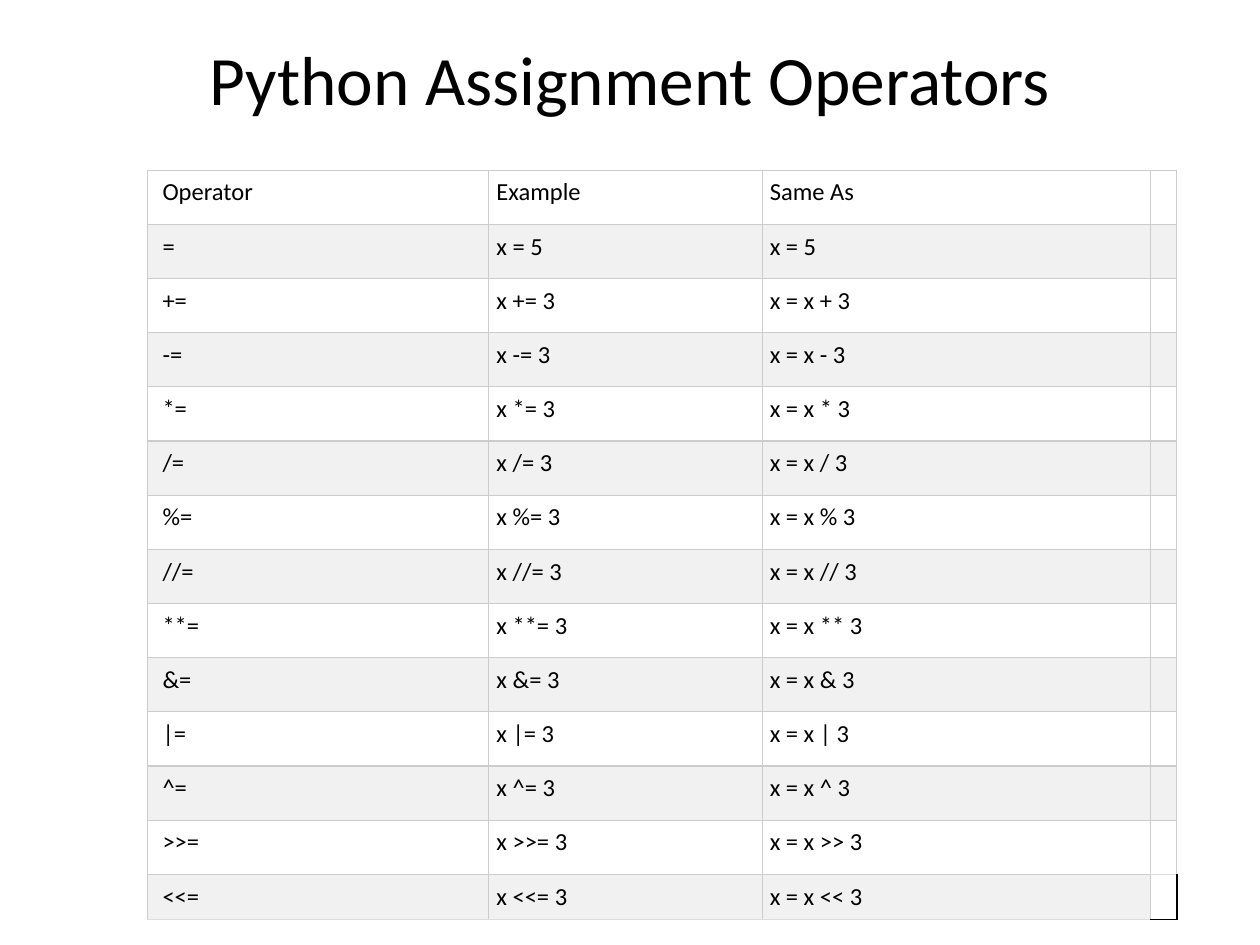
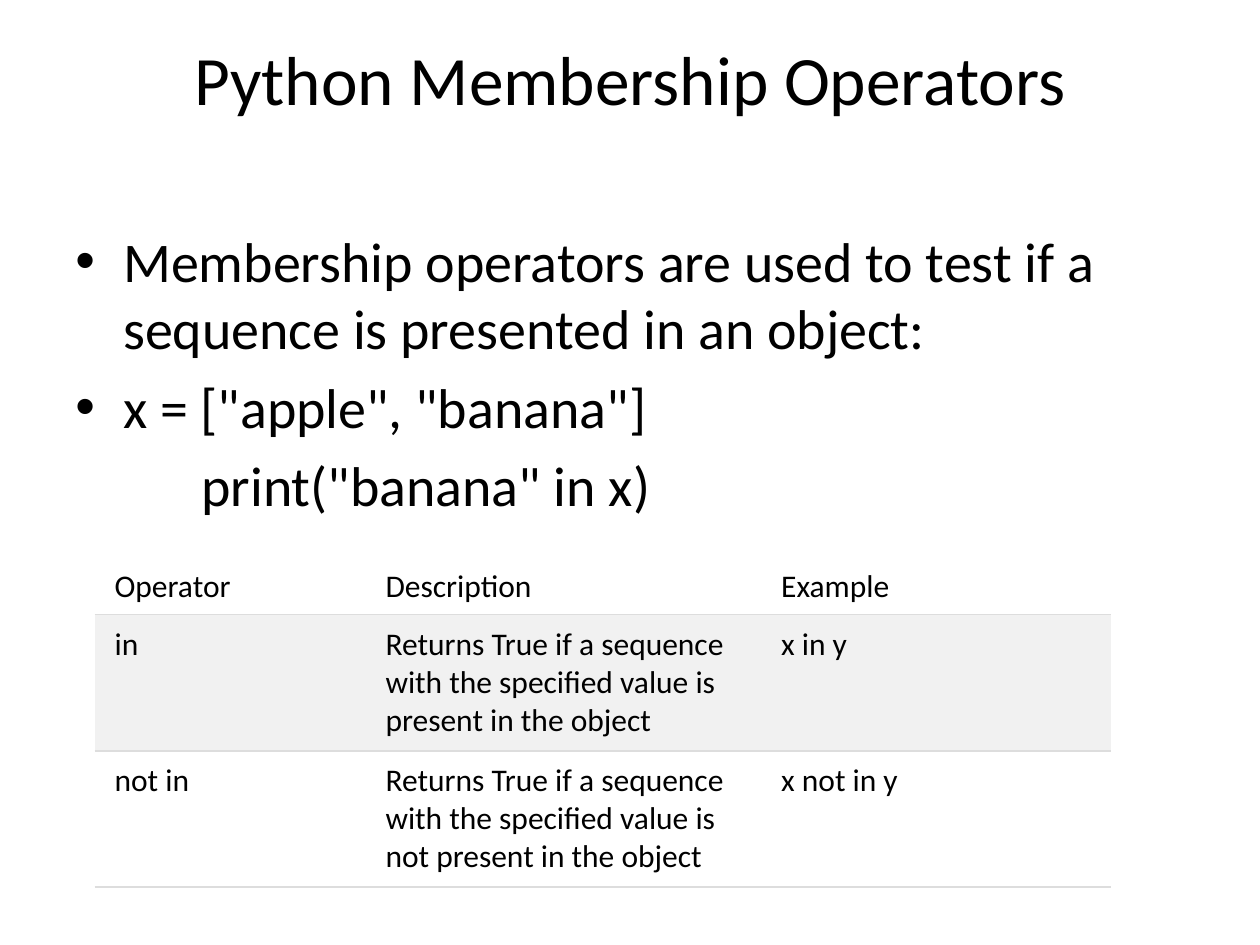
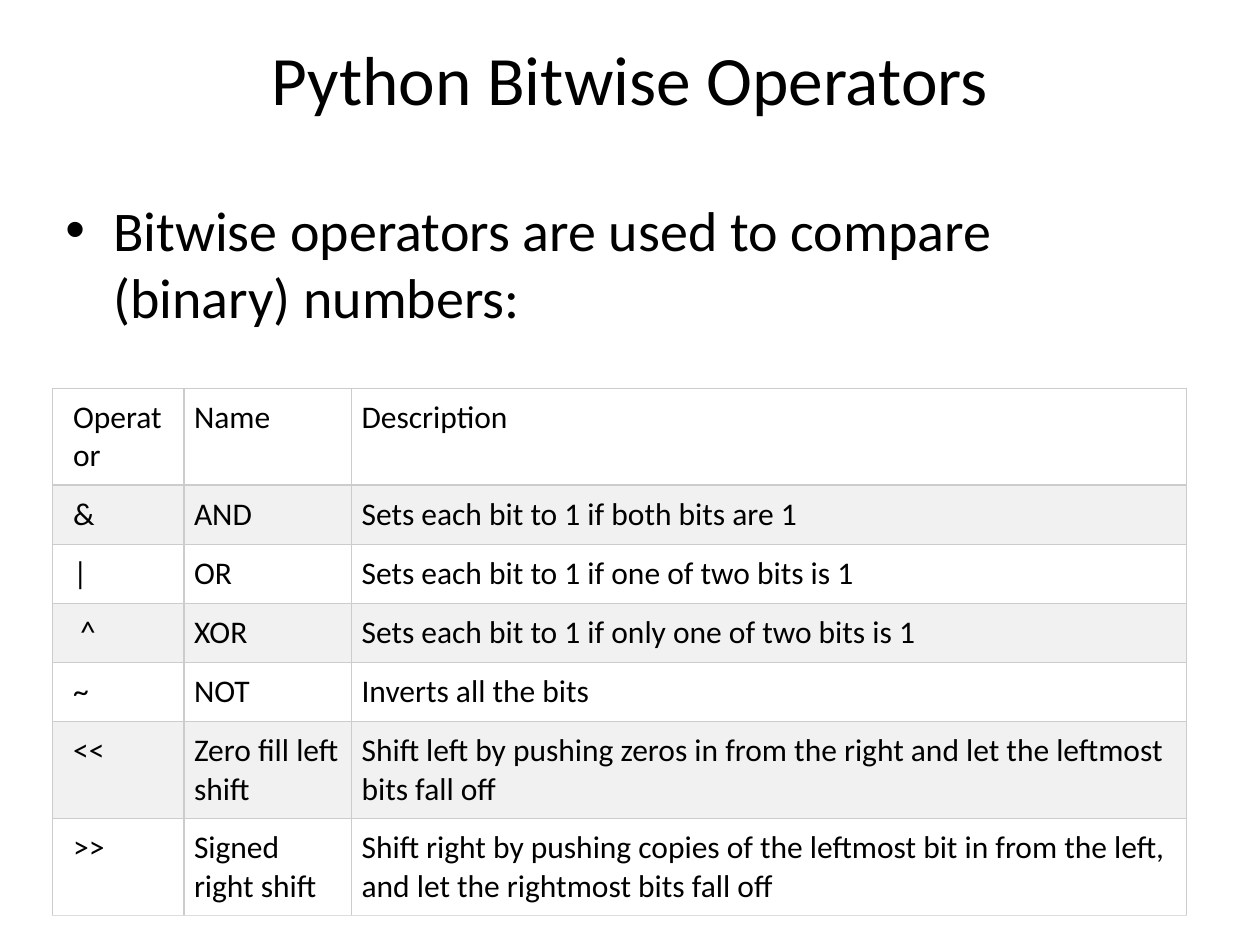
from dataclasses import dataclass

from lxml import etree
from pptx import Presentation
from pptx.dml.color import RGBColor
from pptx.enum.text import MSO_ANCHOR, PP_ALIGN
from pptx.oxml.ns import qn
from pptx.util import Inches, Pt

TOP = MSO_ANCHOR.TOP
LEFT, CENTER = PP_ALIGN.LEFT, PP_ALIGN.CENTER
NO_STYLE = "{2D5ABB26-0587-4C30-8999-92F81FD0307C}"


@dataclass(frozen=True)
class Theme:
    font: str = "Calibri"
    text: str = "000000"
    fills: tuple = ("FFFFFF", "F1F1F1")
    grid: str = "CCCCCC"
    rule: str = "DDDDDD"
    title_size: float = 39.6
    body_size: float = 32
    table_size: float = 18
    dense_size: float = 14
    line_width: float = 0.75


THEME = Theme()


def add_text(paragraph, text, size, align=LEFT):
    paragraph.alignment = align
    run = paragraph.add_run()
    run.text = text
    run.font.name = THEME.font
    run.font.size = Pt(size)
    run.font.color.rgb = RGBColor.from_string(THEME.text)


def set_border(cell, side, color, width=THEME.line_width):
    """Draw one cell edge; side is L, R, T or B."""
    properties = cell._tc.get_or_add_tcPr()
    for old_line in properties.findall(qn("a:ln" + side)):
        properties.remove(old_line)
    line = etree.Element(qn("a:ln" + side), w=str(Pt(width)))
    if color:
        fill = etree.SubElement(line, qn("a:solidFill"))
        etree.SubElement(fill, qn("a:srgbClr"), val=color)
    else:
        etree.SubElement(line, qn("a:noFill"))
    # The schema wants the edges in the order L, R, T, B, ahead of the fill
    earlier = [qn("a:ln" + name) for name in "LRTB"["LRTB".index("L"):"LRTB".index(side)]]
    properties.insert(sum(child.tag in earlier for child in properties), line)


# Slide content
assignments = [("Operator", "Example", "Same As", ""), ("=", "x = 5", "x = 5", "")]
for symbol in ("+", "-", "*", "/", "%", "//", "**", "&", "|", "^", ">>", "<<"):
    assignments.append((f"{symbol}=", f"x {symbol}= 3", f"x = x {symbol} 3", ""))

memberships = [
    ("Operator", "Description", "Example"),
    ("in", "Returns True if a sequence with the specified value is present in the object", "x in y"),
    ("not in", "Returns True if a sequence with the specified value is not present in the object",
     "x not in y"),
]

bitwise = [
    ("Operator", "Name", "Description"),
    ("&", "AND", "Sets each bit to 1 if both bits are 1"),
    ("|", "OR", "Sets each bit to 1 if one of two bits is 1"),
    ("\u00a0^", "XOR", "Sets each bit to 1 if only one of two bits is 1"),
    ("~", "NOT", "Inverts all the bits"),
    ("<<", "Zero fill left shift",
     "Shift left by pushing zeros in from the right and let the leftmost bits fall off"),
    (">>", "Signed right shift",
     "Shift right by pushing copies of the leftmost bit in from the left, "
     "and let the rightmost bits fall off"),
]

# Body paragraphs are (text, bulleted); boxes are left, top, width, height
pages = [
    dict(title="Python Assignment Operators", body=[], body_box=None,
         table=assignments, origin=(1.17, 1.35), columns=(2.71, 2.17, 3.08, 0.21),
         rows=[0.43] * 13 + [0.36], size=THEME.dense_size, inset=0.06, grid=True),
    dict(title="Python Membership Operators",
         body=[("Membership operators are used to test if a sequence is presented in an object:", True),
               ('x = ["apple", "banana"]', True),
               ('print("banana" in x)', False)],
         body_box=(0.5, 1.75, 9, 4.95),
         table=memberships, origin=(0.75, 4.42), columns=(2.23, 3.14, 2.7),
         rows=[0.46, 1.08, 1.08], size=THEME.table_size, inset=0.08, grid=False),
    dict(title="Python Bitwise Operators",
         body=[("Bitwise operators are used to compare (binary) numbers:", True)],
         body_box=(0.42, 1.5, 9, 1.25),
         table=bitwise, origin=(0.42, 3.08), columns=(1.04, 1.33, 6.63),
         rows=[0.77] + [0.47] * 4 + [0.77] * 2, size=THEME.table_size, inset=0.08, grid=True),
]

presentation = Presentation()
presentation.slide_width = Inches(10)
presentation.slide_height = Inches(7.5)
blank = presentation.slide_layouts[6]

for page in pages:
    slide = presentation.slides.add_slide(blank)

    # Title
    title = slide.shapes.add_textbox(Inches(0.5), Inches(0.29), Inches(9), Inches(1.25)).text_frame
    title.word_wrap = True
    title.vertical_anchor = TOP
    title.margin_top = 0
    add_text(title.paragraphs[0], page["title"], THEME.title_size, CENTER)

    # Body text
    if page["body"]:
        box = [Inches(length) for length in page["body_box"]]
        body = slide.shapes.add_textbox(*box).text_frame
        body.word_wrap = True
        for index, (text, bulleted) in enumerate(page["body"]):
            paragraph = body.add_paragraph() if index else body.paragraphs[0]
            add_text(paragraph, text, THEME.body_size)
            paragraph.space_before = Pt(0.2 * THEME.body_size)
            properties = paragraph._p.get_or_add_pPr()
            if bulleted:
                properties.set("marL", str(Inches(0.38)))
                properties.set("indent", str(Inches(-0.38)))
                etree.SubElement(properties, qn("a:buFont"), typeface="Arial")
                etree.SubElement(properties, qn("a:buChar"), char="\u2022")
            else:
                properties.set("marL", str(Inches(1)))

    # Table
    left, top = page["origin"]
    frame = slide.shapes.add_table(
        len(page["rows"]), len(page["columns"]), Inches(left), Inches(top),
        Inches(sum(page["columns"])), Inches(sum(page["rows"])))
    table = frame.table
    table._tbl.tblPr.find(qn("a:tableStyleId")).text = NO_STYLE
    for column, width in zip(table.columns, page["columns"]):
        column.width = Inches(width)
    for row, height in zip(table.rows, page["rows"]):
        row.height = Inches(height)

    last_row = len(page["rows"]) - 1
    for row_index, texts in enumerate(page["table"]):
        for column_index, text in enumerate(texts):
            cell = table.cell(row_index, column_index)
            inset = Inches(page["inset"])
            cell.margin_left = inset if column_index else 2 * inset
            cell.margin_right = cell.margin_top = cell.margin_bottom = inset
            cell.fill.solid()
            cell.fill.fore_color.rgb = RGBColor.from_string(THEME.fills[row_index % 2])
            paragraph = cell.text_frame.paragraphs[0]
            if text:
                add_text(paragraph, text, page["size"])
            else:
                # Keeps an empty cell from stretching its row
                paragraph._p.get_or_add_endParaRPr().set("sz", str(page["size"] * 100))
            across = THEME.grid if page["grid"] else THEME.rule
            upright = THEME.grid if page["grid"] else None
            set_border(cell, "L", upright)
            set_border(cell, "R", upright)
            set_border(cell, "T", across if row_index or page["grid"] else None)
            set_border(cell, "B", THEME.rule if row_index == last_row else across)

    # The open corner cell of the assignment table
    if page["table"] is assignments:
        corner = table.cell(last_row, len(page["columns"]) - 1)
        corner.fill.background()
        set_border(corner, "T", THEME.rule)
        for side in "RB":
            set_border(corner, side, THEME.text, 1)

presentation.save("out.pptx")
